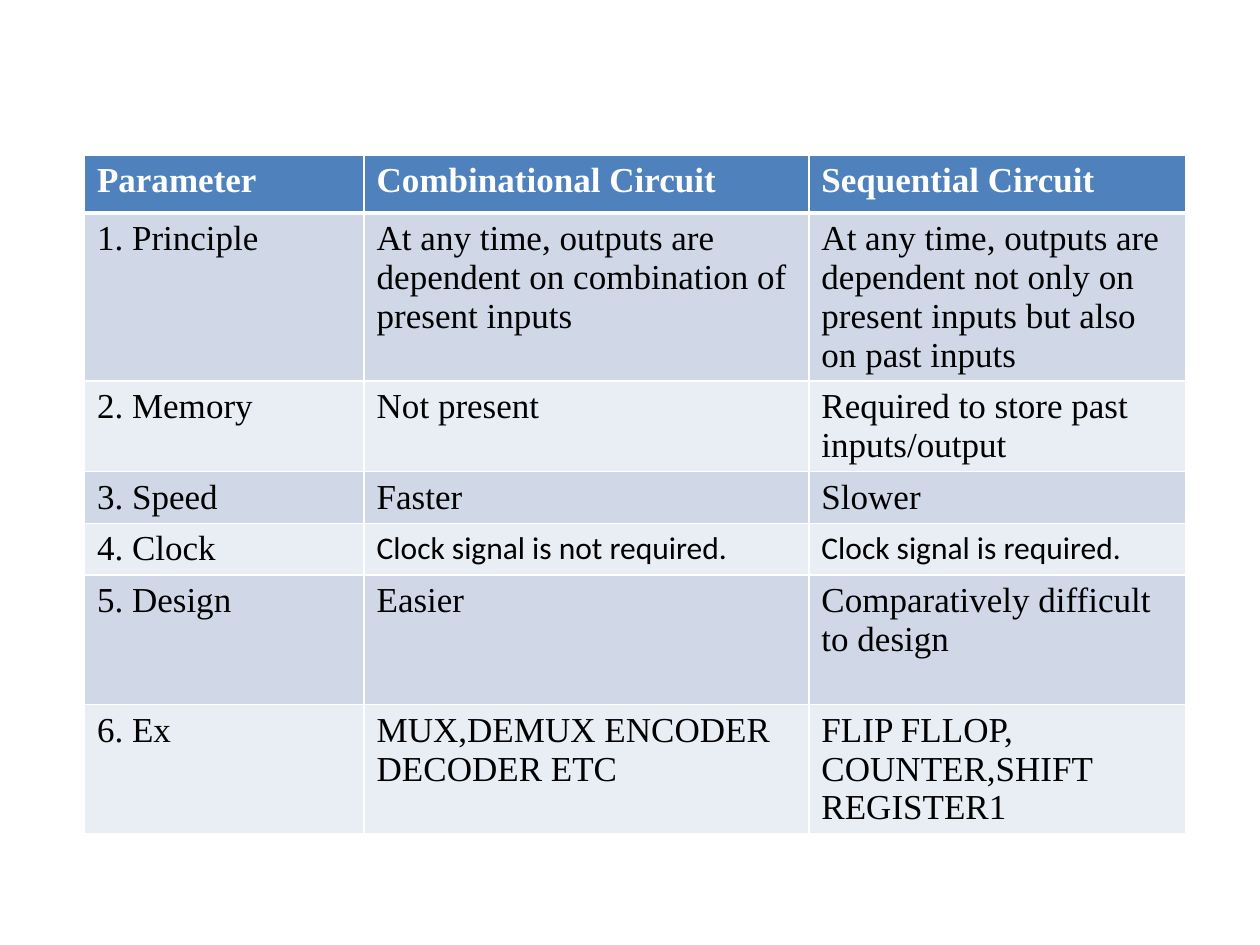
from lxml.etree import SubElement
from pptx import Presentation
from pptx.dml.color import RGBColor
from pptx.oxml.ns import qn
from pptx.util import Inches, Pt

WHITE = RGBColor(0xFF, 0xFF, 0xFF)
BLACK = RGBColor(0x00, 0x00, 0x00)
HEADER_BLUE = RGBColor(0x4F, 0x81, 0xBD)
BAND_DARK = RGBColor(0xD0, 0xD8, 0xE8)
BAND_LIGHT = RGBColor(0xE9, 0xED, 0xF4)

COLUMN_WIDTHS = [2.22, 3.53, 2.99]
ROW_HEIGHTS = [0.46, 1.33, 0.72, 0.41, 0.41, 1.03, 1.02]
ROWS = [
    ["Parameter", "Combinational Circuit", "Sequential Circuit"],
    ["1. Principle",
     "At any time, outputs are dependent on combination of present inputs",
     "At any time, outputs are dependent not only on present inputs but also on past inputs"],
    ["2. Memory", "Not present", "Required to store past inputs/output"],
    ["3. Speed", "Faster", "Slower"],
    ["4. Clock", "Clock signal is not required.", "Clock signal is required."],
    ["5. Design", "Easier", "Comparatively difficult to design"],
    ["6. Ex", "MUX,DEMUX ENCODER DECODER ETC", "FLIP FLLOP, COUNTER,SHIFT REGISTER1"],
]


def write_text(cell, text, font="Times New Roman", size=20, color=BLACK, bold=False):
    span = cell.text_frame.paragraphs[0].add_run()
    span.text = text
    span.font.name = font
    span.font.size = Pt(size)
    span.font.color.rgb = color
    span.font.bold = bold


def add_border(cell, side, width):
    properties = cell._tc.get_or_add_tcPr()
    line = SubElement(properties, qn(f"a:ln{side}"), w=str(Pt(width)))
    fill = SubElement(line, qn("a:solidFill"))
    SubElement(fill, qn("a:srgbClr"), val=str(WHITE))


deck = Presentation()
deck.slide_width, deck.slide_height = Inches(10), Inches(7.5)
slide = deck.slides.add_slide(deck.slide_layouts[6])

table = slide.shapes.add_table(
    len(ROWS), len(COLUMN_WIDTHS), Inches(0.67), Inches(1.23),
    Inches(sum(COLUMN_WIDTHS)), Inches(sum(ROW_HEIGHTS))).table
for column, width in zip(table.columns, COLUMN_WIDTHS):
    column.width = Inches(width)
for row, height in zip(table.rows, ROW_HEIGHTS):
    row.height = Inches(height)

for row_index, texts in enumerate(ROWS):
    is_header = row_index == 0
    band = HEADER_BLUE if is_header else (BAND_LIGHT, BAND_DARK)[row_index % 2]
    widths = {"L": 1, "R": 1, "T": 3 if row_index == 1 else 1, "B": 3 if is_header else 1}
    for column_index, text in enumerate(texts):
        cell = table.cell(row_index, column_index)
        for side, width in widths.items():
            add_border(cell, side, width)
        cell.fill.solid()
        cell.fill.fore_color.rgb = band
        if is_header:
            write_text(cell, text, color=WHITE, bold=True)
        elif text.startswith("Clock signal"):
            write_text(cell, text, font="Calibri", size=18)
        else:
            write_text(cell, text)

deck.save("out.pptx")
